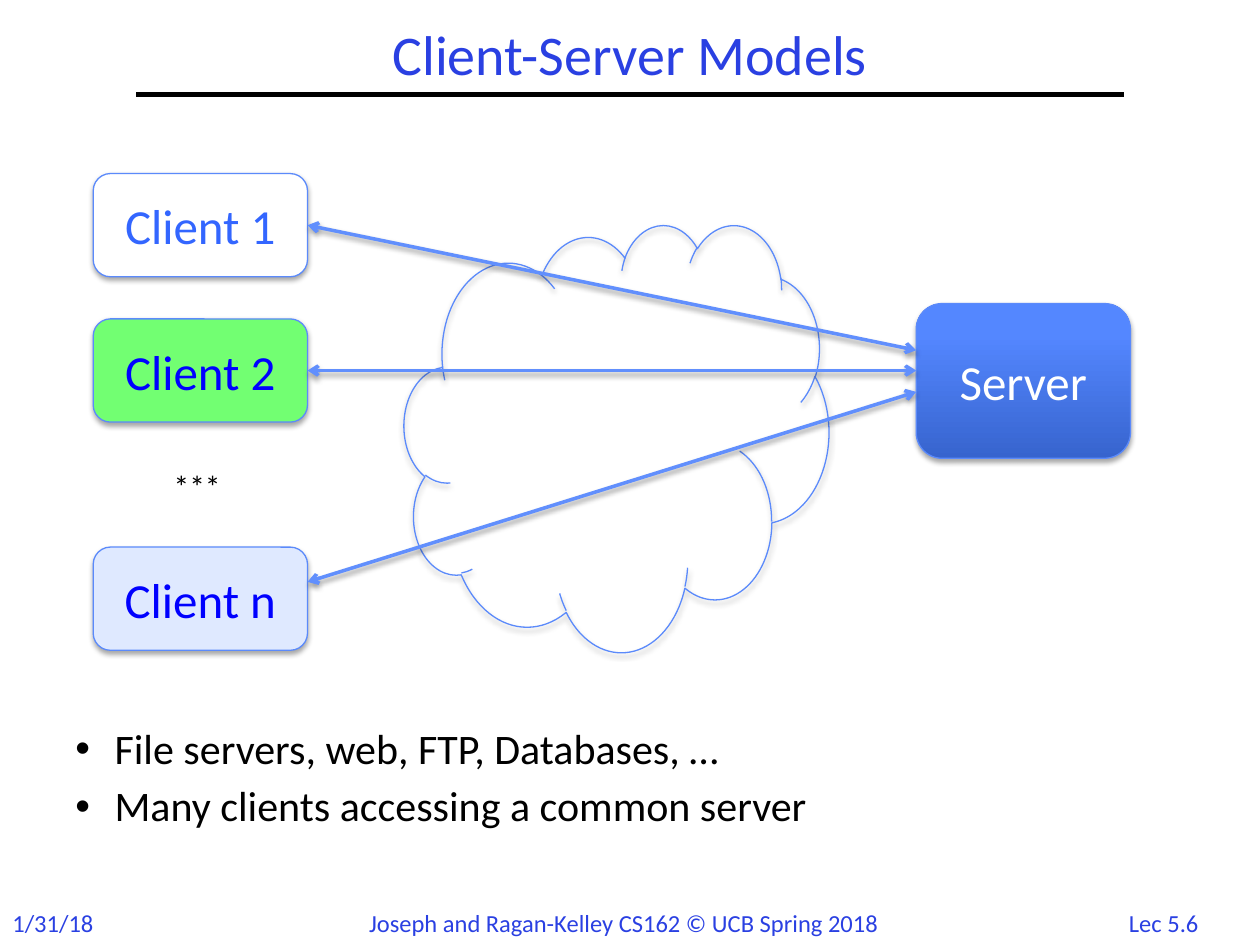
import pptx
import pptx.util
import pptx.dml.color
import pptx.enum.shapes
import pptx.enum.text
import pptx.oxml
import pptx.oxml.ns
from pptx.util import Cm, Pt

COLORS = {
    "title": "2A40E2",
    "black": "000000",
    "white": "FFFFFF",
    "outline": "5B8AFB",
    "arrow": "618FFD",
    "client 1 text": "3366FF",
    "client text": "0000FF",
    "green": "72FF72",
    "pale": "DFE9FF",
    "server dark": "3764CE",
    "server light": "5487FF",
}
RGB = {name: pptx.dml.color.RGBColor.from_string(code) for name, code in COLORS.items()}
NS = pptx.oxml.ns.nsdecls("a")
ALIGN = pptx.enum.text.PP_ALIGN
ANCHOR = pptx.enum.text.MSO_ANCHOR
SHAPE = pptx.enum.shapes.MSO_SHAPE
STRAIGHT = pptx.enum.shapes.MSO_CONNECTOR.STRAIGHT


def write(frame, text, size, color, align=ALIGN.LEFT, wrap=True, anchor=ANCHOR.TOP):
    frame.text = text
    frame.word_wrap = wrap
    frame.vertical_anchor = anchor
    for paragraph in frame.paragraphs:
        paragraph.alignment = align
        for run in paragraph.runs:
            run.font.name = "Calibri"
            run.font.size = Pt(size)
            run.font.color.rgb = RGB[color]


def add_effects(properties, opacity=None):
    shadow = "" if opacity is None else (
        f'<a:outerShdw blurRad="{Pt(3.1)}" dist="{Pt(1.8)}" dir="5400000" rotWithShape="0">'
        f'<a:srgbClr val="{COLORS["black"]}"><a:alpha val="{opacity * 1000}"/></a:srgbClr>'
        '</a:outerShdw>')
    properties.append(pptx.oxml.parse_xml(f"<a:effectLst {NS}>{shadow}</a:effectLst>"))


deck = pptx.Presentation()
deck.slide_width, deck.slide_height = Cm(25.4), Cm(19.05)
slide = deck.slides.add_slide(deck.slide_layouts[6])
shapes = slide.shapes

for text, left, width, align in [
    ("Lec 5.6", 22.28, 2.36, ALIGN.CENTER),
    ("1/31/18", 0, 2.6, ALIGN.LEFT),
    ("Joseph and Ragan-Kelley CS162 © UCB Spring 2018", 7.19, 11.05, ALIGN.LEFT),
]:
    footer = shapes.add_textbox(Cm(left), Cm(18.19), Cm(width), Cm(0.85))
    write(footer.text_frame, text, 14, "title", align, wrap=False)

title_rule = shapes.add_connector(STRAIGHT, Cm(2.75), Cm(1.91), Cm(22.65), Cm(1.91))
title_rule.line.color.rgb = RGB["black"]
title_rule.line.width = Pt(3)
add_effects(title_rule._element.spPr)

title = shapes.add_textbox(Cm(2.75), Cm(0.43), Cm(19.9), Cm(1.47))
write(title.text_frame, "Client-Server Models", 32, "title", ALIGN.CENTER, anchor=ANCHOR.MIDDLE)
title.text_frame.paragraphs[0].line_spacing = 0.9

examples = shapes.add_textbox(Cm(1.27), Cm(14.55), Cm(22.86), Cm(2.95))
write(examples.text_frame,
      "File servers, web, FTP, Databases, …\nMany clients accessing a common server", 24, "black")
for index, paragraph in enumerate(examples.text_frame.paragraphs):
    paragraph.line_spacing = 0.9
    paragraph.space_before = Pt(7 * index)
    properties = paragraph._p.get_or_add_pPr()
    properties.set("marL", str(Cm(0.79)))
    properties.set("indent", str(-Cm(0.79)))
    properties.append(pptx.oxml.parse_xml(f'<a:buFont {NS} typeface="Arial"/>'))
    properties.append(pptx.oxml.parse_xml(f'<a:buChar {NS} char="•"/>'))

nodes = {}
for name, kind, left, top, width, height, fill, color in [
    ("", SHAPE.CLOUD, 8.15, 4.52, 8.56, 8.61, None, "black"),
    ("Server", SHAPE.ROUNDED_RECTANGLE, 18.47, 6.12, 4.32, 3.12, "server light", "white"),
    ("Client 1", SHAPE.ROUNDED_RECTANGLE, 1.88, 3.5, 4.32, 2.08, "white", "client 1 text"),
    ("Client 2", SHAPE.ROUNDED_RECTANGLE, 1.88, 6.43, 4.32, 2.08, "green", "client text"),
    ("Client n", SHAPE.ROUNDED_RECTANGLE, 1.88, 11.03, 4.32, 2.08, "pale", "client text"),
]:
    node = shapes.add_shape(kind, Cm(left), Cm(top), Cm(width), Cm(height))
    if fill is None:
        node.fill.background()
    elif name == "Server":
        node.fill.gradient()
        node.fill.gradient_angle = 90
        for stop, shade, position in zip(
                node.fill.gradient_stops, ("server dark", "server light"), (0, 0.8)):
            stop.color.rgb = RGB[shade]
            stop.position = position
    else:
        node.fill.solid()
        node.fill.fore_color.rgb = RGB[fill]
    node.line.color.rgb = RGB["outline"]
    node.line.width = Pt(0.75)
    add_effects(node._element.spPr, 35)
    if name:
        write(node.text_frame, name, 28, color, ALIGN.CENTER, anchor=ANCHOR.MIDDLE)
    nodes[name] = node

more_clients = shapes.add_textbox(Cm(3.25), Cm(9.3), Cm(1.8), Cm(1.02))
write(more_clients.text_frame, "***", 18, "black", wrap=False)

for client, client_y, server_y, joined in [
    ("Client 1", 4.54, 7.06, True),
    ("Client 2", 7.47, 7.47, True),
    ("Client n", 11.73, 7.9, False),
]:
    request = shapes.add_connector(STRAIGHT, Cm(6.2), Cm(client_y), Cm(18.47), Cm(server_y))
    if joined:
        request.begin_connect(nodes[client], 3)
    request.line.color.rgb = RGB["arrow"]
    request.line.width = Pt(2)
    outline = request.line._get_or_add_ln()
    for end in ("headEnd", "tailEnd"):
        outline.append(pptx.oxml.parse_xml(f'<a:{end} {NS} type="arrow"/>'))
    add_effects(request._element.spPr, 38)

deck.save("out.pptx")
